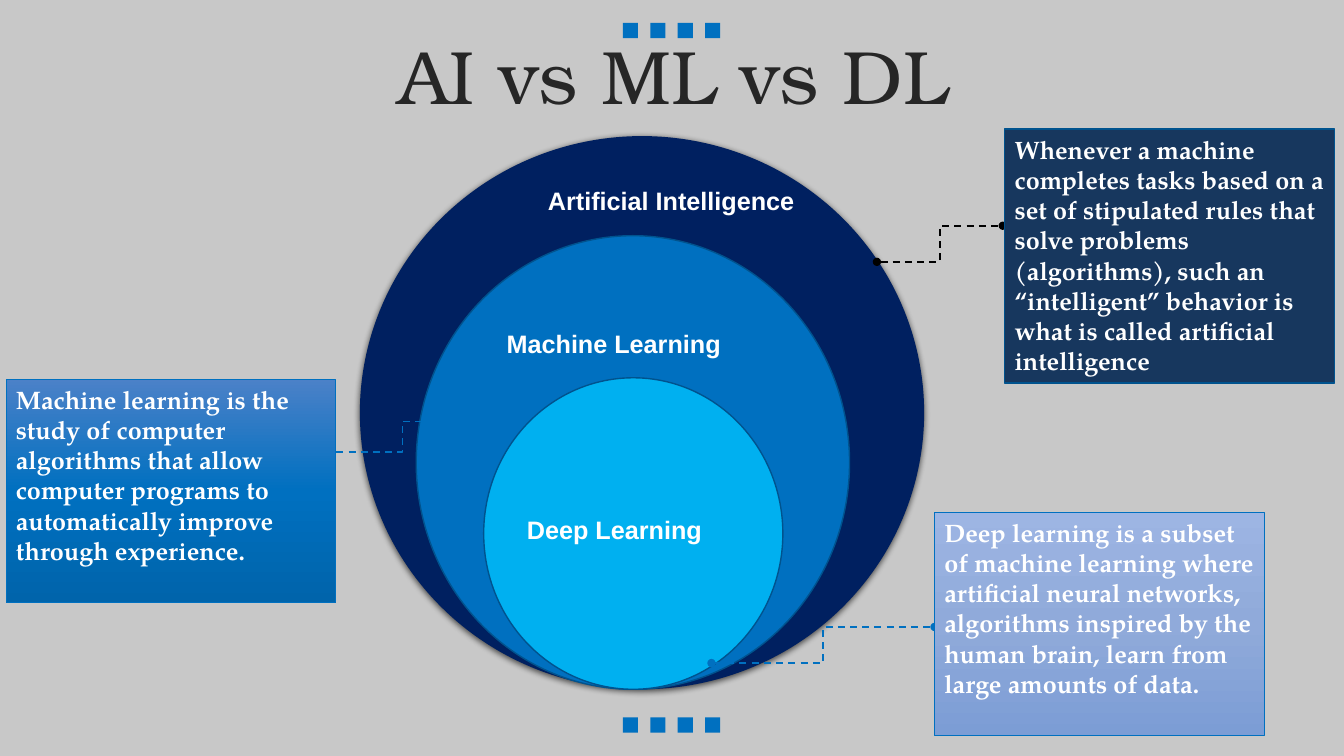
"""Build a slide of nested circles comparing AI, machine learning and deep learning."""
from copy import deepcopy

from pptx import Presentation
from pptx import util as u
from pptx.dml.color import RGBColor
from pptx.enum import dml, shapes, text
from pptx.oxml.ns import qn
from lxml import etree


def colour(code):
    return RGBColor.from_string(code)


def write(shape, words, **font):
    frame = shape.text_frame
    settings = {"word_wrap": True, "auto_size": text.MSO_AUTO_SIZE.NONE,
                "vertical_anchor": font.pop("anchor", text.MSO_ANCHOR.TOP)}
    for name, value in settings.items():
        setattr(frame, name, value)
    para = frame.paragraphs[0]
    para.alignment = font.pop("align", text.PP_ALIGN.LEFT)
    span = para.add_run()
    span.text = words
    span.font.color.rgb = colour(font.pop("ink", "FFFFFF"))
    for name, value in ({"size": u.Pt(18), "bold": True} | font).items():
        setattr(span.font, name, value)
    return para


deck = Presentation()
deck.slide_width, deck.slide_height = u.Cm(33.87), u.Cm(19.05)
page = deck.slides.add_slide(deck.slide_layouts[5])
page.background.fill.solid()
page.background.fill.fore_color.rgb = colour("C8C8C8")

title = page.shapes.title
title.left, title.top, title.width, title.height = map(u.Cm, (0.89, 1.02, 32.16, 2.01))
heading = write(title, "AI vs ML vs DL", name="TeX Gyre Bonum", size=u.Pt(54), bold=False,
                ink="262626", anchor=text.MSO_ANCHOR.MIDDLE, align=text.PP_ALIGN.CENTER)
heading.line_spacing = 0.9

for top in (0.58, 18.08):
    for column in range(4):
        square = page.shapes.add_shape(shapes.MSO_SHAPE.RECTANGLE, u.Cm(15.7 + 0.69 * column),
                                       u.Cm(top), u.Cm(0.38), u.Cm(0.38))
        square.shadow.inherit = False
        square.fill.solid()
        square.fill.fore_color.rgb = colour("0070C0")
        square.line.fill.background()

circle_bottom = 17.37
circles = [
    (9.07, 14.22, 13.94, "002060", None),
    (10.49, 10.92, 11.43, "0070C0", "00538E"),
    (12.19, 7.54, 7.85, "00B0F0", "00538E"),
]
for left, width, height, fill, outline in circles:
    circle = page.shapes.add_shape(shapes.MSO_SHAPE.OVAL, u.Cm(left), u.Cm(circle_bottom - height),
                                   u.Cm(width), u.Cm(height))
    circle.shadow.inherit = False
    circle.fill.solid()
    circle.fill.fore_color.rgb = colour(fill)
    if outline:
        circle.line.color.rgb = colour(outline)
        circle.line.width = u.Pt(1)
    else:
        circle.line.fill.background()
        effects = circle.element.spPr.find(qn("a:effectLst"))
        shadow = etree.SubElement(effects, qn("a:outerShdw"), blurRad="57150", dist="19050",
                                  dir="5400000", algn="ctr", rotWithShape="0")
        tint = etree.SubElement(shadow, qn("a:srgbClr"), val="000000")
        etree.SubElement(tint, qn("a:alpha"), val="63000")

links = [
    ((22.1, 6.6, 25.27, 5.69), "000000"),
    ((7.77, 11.4, 12.52, 10.62), "0070C0"),
    ((17.93, 16.71, 23.55, 15.8), "0070C0"),
]
for ends, ink in links:
    link = page.shapes.add_connector(shapes.MSO_CONNECTOR.ELBOW, *map(u.Cm, ends))
    link.line.color.rgb = colour(ink)
    link.line.width = u.Pt(1.25)
    link.line.dash_style = dml.MSO_LINE.DASH
    properties = link.element.spPr
    for end in ("a:headEnd", "a:tailEnd"):
        etree.SubElement(properties.find(qn("a:ln")), qn(end), type="oval")
    etree.SubElement(properties, qn("a:effectLst"))

labels = [
    ("Artificial Intelligence", 13.56, 4.55, 7.85),
    ("Machine Learning", 12.52, 8.15, 6.15),
    ("Deep Learning", 13.03, 12.83, 6.15),
]
for words, left, top, width in labels:
    label = page.shapes.add_textbox(u.Cm(left), u.Cm(top), u.Cm(width), u.Cm(1.02))
    write(label, words, name="Arial")

notes = [
    ("Machine learning is the study of computer algorithms that allow computer programs to "
     "automatically improve through experience.",
     0.15, 9.55, 5.64, ("4B81C8", "0070C0", "0064AB"), "0070C0", 0.5),
    ("Deep learning is a subset of machine learning where artificial neural networks, "
     "algorithms inspired by the human brain, learn from large amounts of data.",
     23.55, 12.9, 5.64, ("9DB5E3", "90AADA", "7C9DD5"), "0070C0", 0.5),
    ("Whenever a machine completes tasks based on a set of stipulated rules that solve problems "
     "(algorithms), such an “intelligent” behavior is what is called artificial intelligence",
     25.32, 3.25, 6.4, ("17375E",), "00538E", 1),
]
for words, left, top, height, fills, outline, weight in notes:
    box = page.shapes.add_shape(shapes.MSO_SHAPE.RECTANGLE, u.Cm(left), u.Cm(top),
                                u.Cm(8.31), u.Cm(height))
    box.shadow.inherit = False
    box.line.color.rgb = colour(outline)
    box.line.width = u.Pt(weight)
    if len(fills) == 1:
        box.fill.solid()
        box.fill.fore_color.rgb = colour(fills[0])
    else:
        box.fill.gradient()
        box.fill.gradient_angle = 270
        stops = box.element.spPr.find(".//" + qn("a:gsLst"))
        stops.insert(1, deepcopy(stops[0]))
        for index, stop in enumerate(box.fill.gradient_stops):
            stop.position = index / 2
            stop.color.rgb = colour(fills[index])
    write(box, words, name="TeX Gyre Pagella")

deck.save("out.pptx")
